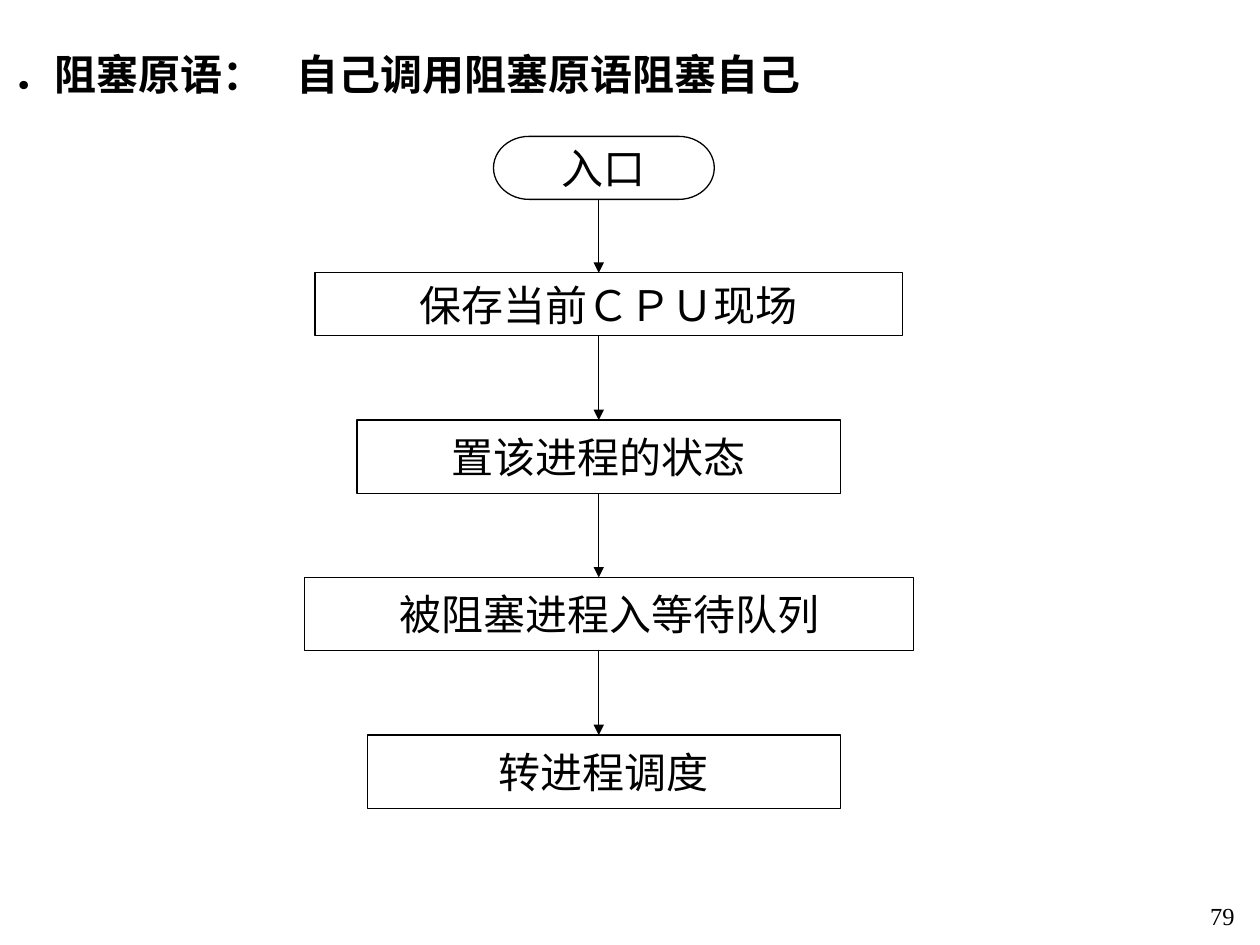
from itertools import pairwise

from lxml import etree
from pptx import Presentation
from pptx import util as u
from pptx.dml.color import RGBColor
from pptx.enum import shapes, text
from pptx.oxml.ns import qn

BLACK = RGBColor(0, 0, 0)
WHITE = RGBColor(255, 255, 255)
FONT = "Times New Roman"
AXIS = u.Cm(12.07)
TERMINATOR = shapes.MSO_SHAPE.FLOWCHART_TERMINATOR
RECT = shapes.MSO_SHAPE.RECTANGLE
STEPS = [
    ("入口", TERMINATOR, 9.95, 2.75, 4.45, 1.27),
    ("保存当前ＣＰＵ现场", RECT, 6.35, 5.5, 11.85, 1.27),
    ("置该进程的状态", RECT, 7.2, 8.47, 9.74, 1.48),
    ("被阻塞进程入等待队列", RECT, 6.14, 11.64, 12.28, 1.48),
    ("转进程调度", RECT, 7.41, 14.82, 9.53, 1.48),
]


def write(sp, words, align, size=24, bold=False):
    """Put one formatted line of text in a shape."""
    tf = sp.text_frame
    tf.text = words
    p = tf.paragraphs[0]
    p.alignment = align
    font = p.runs[0].font
    font.name, font.size, font.bold = FONT, u.Pt(size), bold
    font.color.rgb = BLACK


def add_label(s, words, x, y, w, h, align=text.PP_ALIGN.LEFT, size=24, bold=True):
    """Add a wrapping text box."""
    sp = s.shapes.add_textbox(u.Cm(x), u.Cm(y), u.Cm(w), u.Cm(h))
    sp.text_frame.word_wrap = True
    write(sp, words, align, size, bold)


def add_step(s, words, kind, x, y, w, h):
    """Add one outlined step of the flowchart."""
    sp = s.shapes.add_shape(kind, u.Cm(x), u.Cm(y), u.Cm(w), u.Cm(h))
    sp.shadow.inherit = False
    sp.fill.solid()
    sp.fill.fore_color.rgb = WHITE
    sp.line.color.rgb = BLACK
    sp.line.width = u.Pt(0.75)
    sp.text_frame.word_wrap = False
    sp.text_frame.vertical_anchor = text.MSO_ANCHOR.MIDDLE
    write(sp, words, text.PP_ALIGN.CENTER)
    return sp


def on_axis(sp):
    """Tell whether a shape is centred on the arrow axis."""
    return abs(sp.left + sp.width // 2 - AXIS) < u.Cm(0.02)


def add_arrow(s, upper, lower):
    """Add a downward arrow along the axis between two steps."""
    cn = s.shapes.add_connector(shapes.MSO_CONNECTOR.STRAIGHT, AXIS,
                                upper.top + upper.height, AXIS, lower.top)
    if on_axis(upper):
        cn.begin_connect(upper, 0 + 2)
    if on_axis(lower):
        cn.end_connect(lower, 0)
    cn.line.color.rgb = BLACK
    cn.line.width = u.Pt(0.75)
    etree.SubElement(cn.line._get_or_add_ln(), qn("a:tailEnd"), type="triangle")
    etree.SubElement(cn._element.spPr, qn("a:effectLst"))


def main():
    """Build the blocking primitive slide."""
    prs = Presentation()
    prs.slide_width, prs.slide_height = u.Cm(25.4), u.Cm(19.05)
    s = prs.slides.add_slide(prs.slide_layouts[6])
    add_label(s, "79", 23.77, 18.03, 1.37, 1.02, text.PP_ALIGN.RIGHT, 14, False)
    add_label(s, "．阻塞原语：", 0, 0.85, 12.07, 1.27)
    add_label(s, "自己调用阻塞原语阻塞自己", 5.72, 0.85, 11.64, 1.27)
    steps = [add_step(s, *step) for step in STEPS]
    for upper, lower in pairwise(steps):
        add_arrow(s, upper, lower)
    prs.save("out.pptx")


if __name__ == "__main__":
    main()
